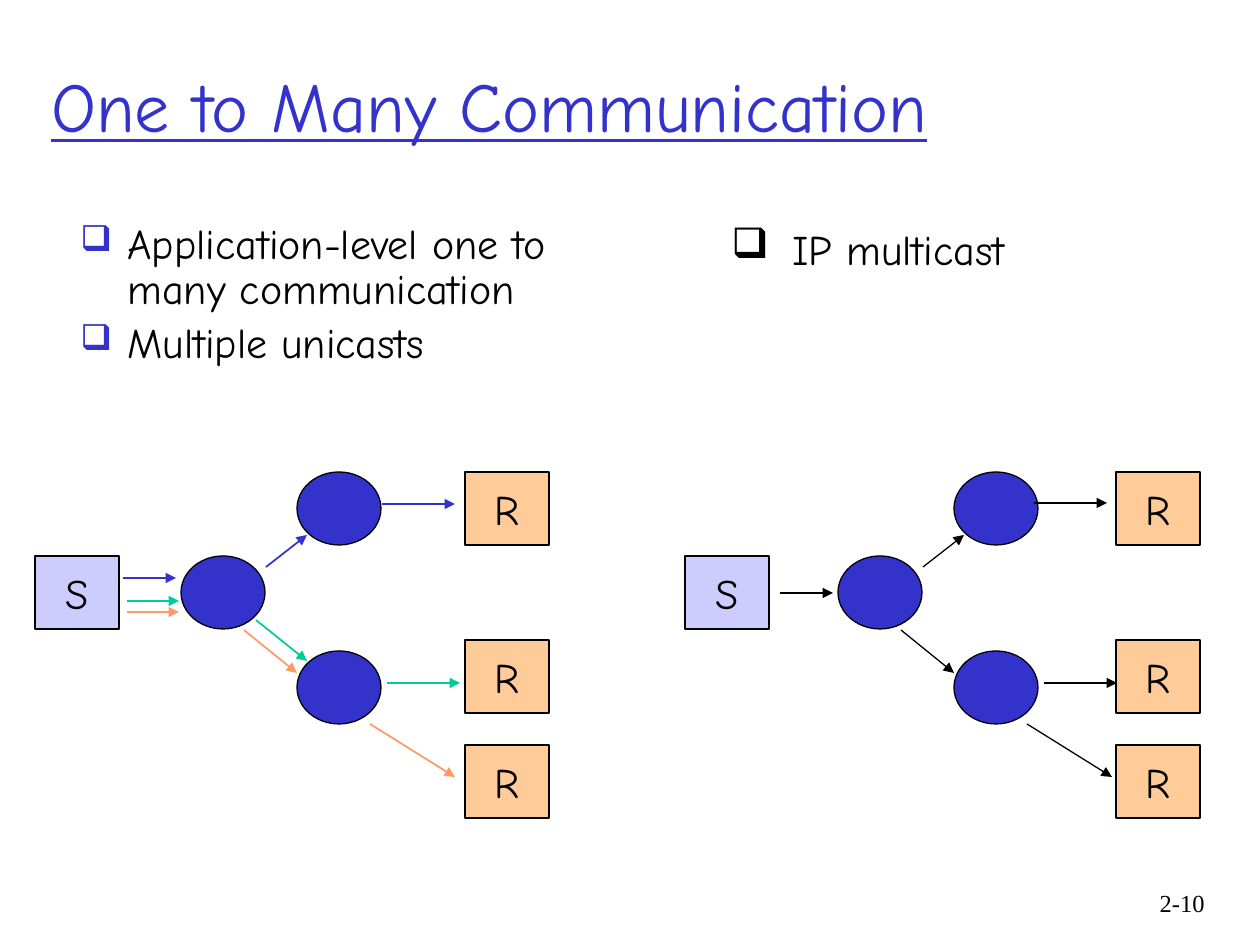
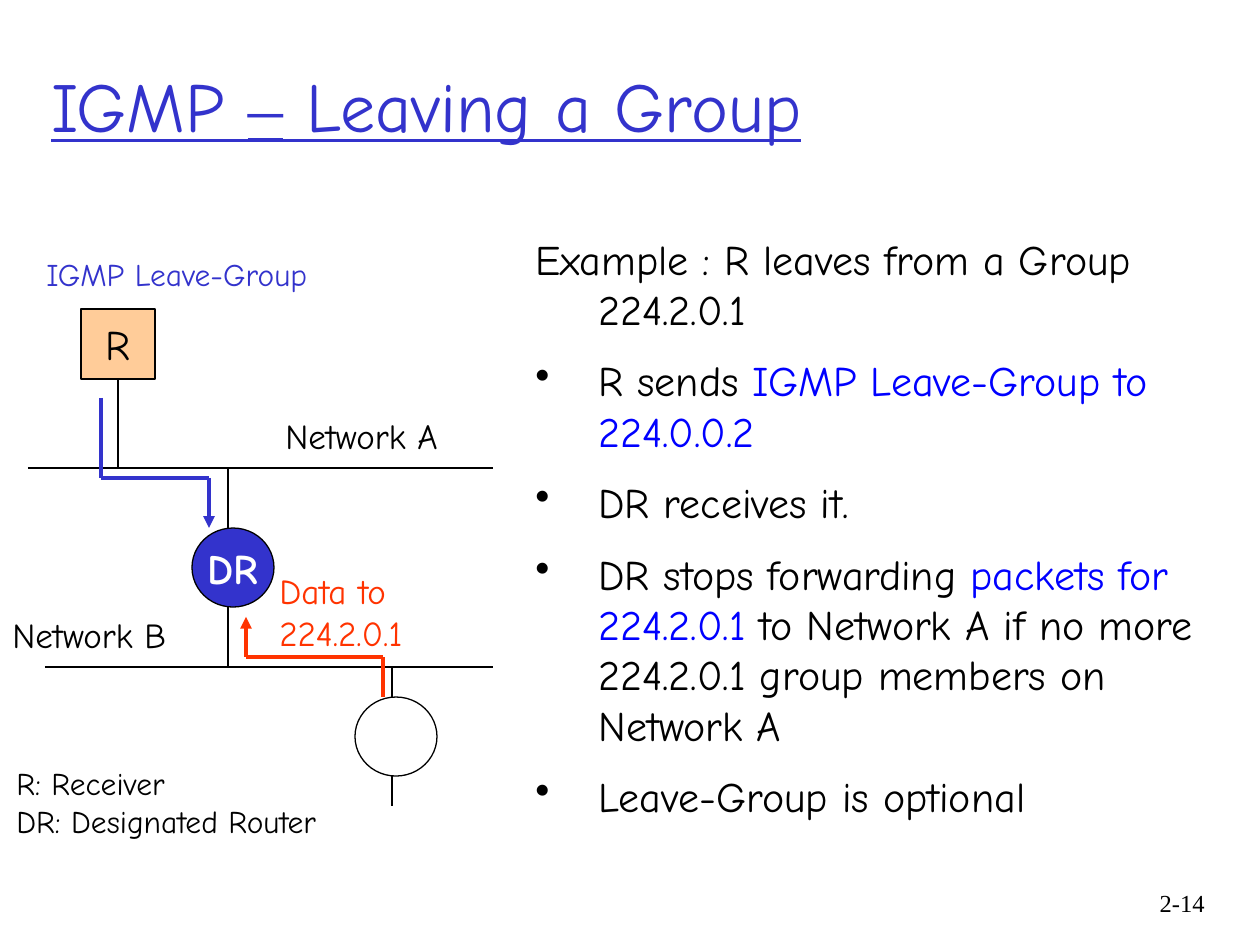
import pptx
import pptx.util
import pptx.dml.color
import pptx.enum.shapes
import pptx.enum.text
import pptx.oxml.ns
import lxml.etree

BLACK, WHITE, BLUE = "000000", "FFFFFF", "3333CC"
GREEN, CORAL, RED, LINK = "00CC99", "FF9966", "FF3300", "0000FF"
LILAC, PEACH = "CCCCFF", "FFCC99"
HAND, SERIF = "Comic Neue", "Times New Roman"
SHAPE = pptx.enum.shapes.MSO_SHAPE
ALIGN = pptx.enum.text.PP_ALIGN
MIDDLE = pptx.enum.text.MSO_ANCHOR.MIDDLE


def px(n):
    return pptx.util.Emu(round(n * 914400 / 126))


def rgb(code):
    return pptx.dml.color.RGBColor.from_string(code)


def child(node, tag, **attrs):
    return lxml.etree.SubElement(node, pptx.oxml.ns.qn("a:" + tag), **attrs)


def mark(para, sign, indent, color=None, scale=None):
    props = para._p.get_or_add_pPr()
    props.set("marL", str(px(indent)))
    props.set("indent", str(-px(indent)))
    if color:
        child(child(props, "buClr"), "srgbClr", val=color)
    if scale:
        child(props, "buSzPct", val=str(scale * 1000))
    if sign:
        child(props, "buChar", char=sign)
    else:
        child(props, "buNone")


def add_run(para, text, size, color=BLACK, font=HAND, bold=None, under=None):
    run = para.add_run()
    run.text = text
    run.font.size = pptx.util.Pt(size)
    run.font.name = font
    run.font.color.rgb = rgb(color)
    run.font.bold = bold
    run.font.underline = under


def text_box(slide, box):
    frame = slide.shapes.add_textbox(*map(px, box)).text_frame
    frame.word_wrap = True
    return frame


def label(slide, box, text, size, color=BLACK):
    para = text_box(slide, box).paragraphs[0]
    for i, line in enumerate(text.split("\n")):
        if i:
            para.add_line_break()
        add_run(para, line, size, color)


def bullets(slide, box, items, indent, gap, lines=None, color=None, scale=None):
    frame = text_box(slide, box)
    for i, (sign, runs) in enumerate(items):
        para = frame.add_paragraph() if i else frame.paragraphs[0]
        mark(para, sign, indent, color, scale)
        para.line_spacing = lines
        if i:
            para.space_before = pptx.util.Pt(gap)
        for text, ink in runs:
            add_run(para, text, 24, ink)


def node(slide, kind, box, fill, text="", ink=BLACK, bold=None):
    shape = slide.shapes.add_shape(kind, *map(px, box))
    shape.shadow.inherit = False
    shape.fill.solid()
    shape.fill.fore_color.rgb = rgb(fill)
    shape.line.color.rgb = rgb(BLACK)
    shape.line.width = pptx.util.Pt(0.75)
    if text:
        frame = shape.text_frame
        frame.word_wrap = False
        frame.vertical_anchor = MIDDLE
        frame.paragraphs[0].alignment = ALIGN.CENTER
        add_run(frame.paragraphs[0], text, 24, ink, bold=bold)
    return shape


def line(slide, ends, color=BLACK, width=0.75, head=False):
    link = slide.shapes.add_connector(
        pptx.enum.shapes.MSO_CONNECTOR.STRAIGHT, *map(px, ends))
    link.line.color.rgb = rgb(color)
    link.line.width = pptx.util.Pt(width)
    if head:
        child(link.line._get_or_add_ln(), "tailEnd", type="triangle")
    child(link._element.spPr, "effectLst")
    return link


def route(slide, x, y, points, color):
    points = [(x + a, y + b) for a, b in points]
    last = len(points) - 2
    for i, (start, end) in enumerate(zip(points, points[1:])):
        line(slide, start + end, color, 2.25, i == last)


def start(deck, title, number):
    slide = deck.slides.add_slide(deck.slide_layouts[6])
    para = text_box(slide, (1124, 882, 93, 63)).paragraphs[0]
    para.alignment = ALIGN.RIGHT
    add_run(para, number, 14, font=SERIF)
    frame = text_box(slide, (39, 25, 1071, 158))
    frame.vertical_anchor = MIDDLE
    for text, font in title:
        add_run(frame.paragraphs[0], text, 40, BLUE, font, under=True)
    return slide


def tree(slide, x, y, hop, leaf, width, flows):
    size = 84, 73
    for dx, dy in ((116, 0), (0, 84), (116, 179)):
        node(slide, SHAPE.OVAL, (x + hop + dx, y + dy, *size), BLUE)
    for color, arrows in flows:
        for x1, y1, x2, y2 in arrows:
            ends = x + hop + x1, y + y1, x + hop + x2, y + y2
            line(slide, ends, color, width, True)
    node(slide, SHAPE.RECTANGLE, (x, y + 84, *size), LILAC, "S")
    for dy in (0, 168, 273):
        node(slide, SHAPE.RECTANGLE, (x + leaf, y + dy, *size), PEACH, "R")


def casting(deck):
    slide = start(deck, [("One to Many Communication", HAND)], "2-10")
    box = "❑"
    bullets(slide, (68, 217, 546, 95), [
        (box, [("Application-level one to many communication", BLACK)]),
        (box, [("Multiple unicasts", BLACK)]),
    ], 47, 4.8, 0.9, BLUE, 85)
    bullets(slide, (719, 217, 451, 95),
            [(box, [("IP multicast", BLACK)])], 61, 4.8)
    rise, fall = (85, 95, 126, 63), (63, 158, 116, 201)
    level, slant = (206, 211, 279, 211), (189, 252, 274, 305)
    tree(slide, 35, 472, 146, 430, 1, [
        (BLUE, [(-58, 106, -5, 106), rise, (201, 32, 274, 32)]),
        (GREEN, [(-54, 129, -2, 129), (75, 148, 126, 189), level]),
        (CORAL, [(-54, 140, -2, 140), fall, slant]),
    ])
    tree(slide, 685, 472, 153, 431, 0.75, [
        (BLACK, [(-58, 121, -5, 121), rise, (196, 31, 269, 31),
                 fall, level, slant]),
    ])


def network(slide, x, y):
    label(slide, (x + 267, y + 314, 214, 97), "Data to 224.2.0.1", 20, RED)
    host = node(slide, SHAPE.RECTANGLE, (x + 81, y + 60, 74, 70), PEACH, "R")
    stem = line(slide, (x + 118, y + 130, x + 118, y + 219))
    stem.begin_connect(host, 2)
    for x1, y1, x2, y2 in ((28, 219, 493, 219), (45, 418, 493, 418),
                           (392, 418, 392, 557), (228, 219, 228, 418)):
        line(slide, (x + x1, y + y1, x + x2, y + y2))
    size = 82, 79
    node(slide, SHAPE.OVAL, (x + 192, y + 279, *size), BLUE, "DR", WHITE, True)
    node(slide, SHAPE.OVAL, (x + 355, y + 448, *size), WHITE)
    route(slide, x, y, [(383, 448), (383, 408), (246, 408), (246, 368)], RED)
    route(slide, x, y, [(101, 149), (101, 229), (209, 229), (209, 279)], BLUE)
    label(slide, (x + 34, y, 331, 50), "IGMP Leave-Group", 18, BLUE)
    label(slide, (x + 273, y + 159, 219, 55), "Network A", 20)
    label(slide, (x, y + 358, 219, 55), "Network B", 20)
    label(slide, (x + 4, y + 509, 374, 88),
          "R: Receiver\nDR: Designated Router", 18)


def leaving(deck):
    slide = start(deck, [("IGMP ", HAND), ("–", SERIF),
                         (" Leaving a Group", HAND)], "2-14")
    dot = "•"
    bullets(slide, (523, 227, 712, 624), [
        (None, [("Example : R leaves from a Group 224.2.0.1", BLACK)]),
        (dot, [("R sends ", BLACK), ("IGMP Leave-Group to 224.0.0.2", LINK)]),
        (dot, [("DR receives it.", BLACK)]),
        (dot, [("DR stops forwarding ", BLACK), ("packets for 224.2.0.1 ", LINK),
               ("to Network A if no more 224.2.0.1 group members on Network A",
                BLACK)]),
        (dot, [("Leave-Group is optional", BLACK)]),
    ], 63, 12)
    network(slide, 0, 249)


def main():
    deck = pptx.Presentation()
    deck.slide_width, deck.slide_height = px(1260), px(945)
    casting(deck)
    leaving(deck)
    deck.save("out.pptx")


if __name__ == "__main__":
    main()
